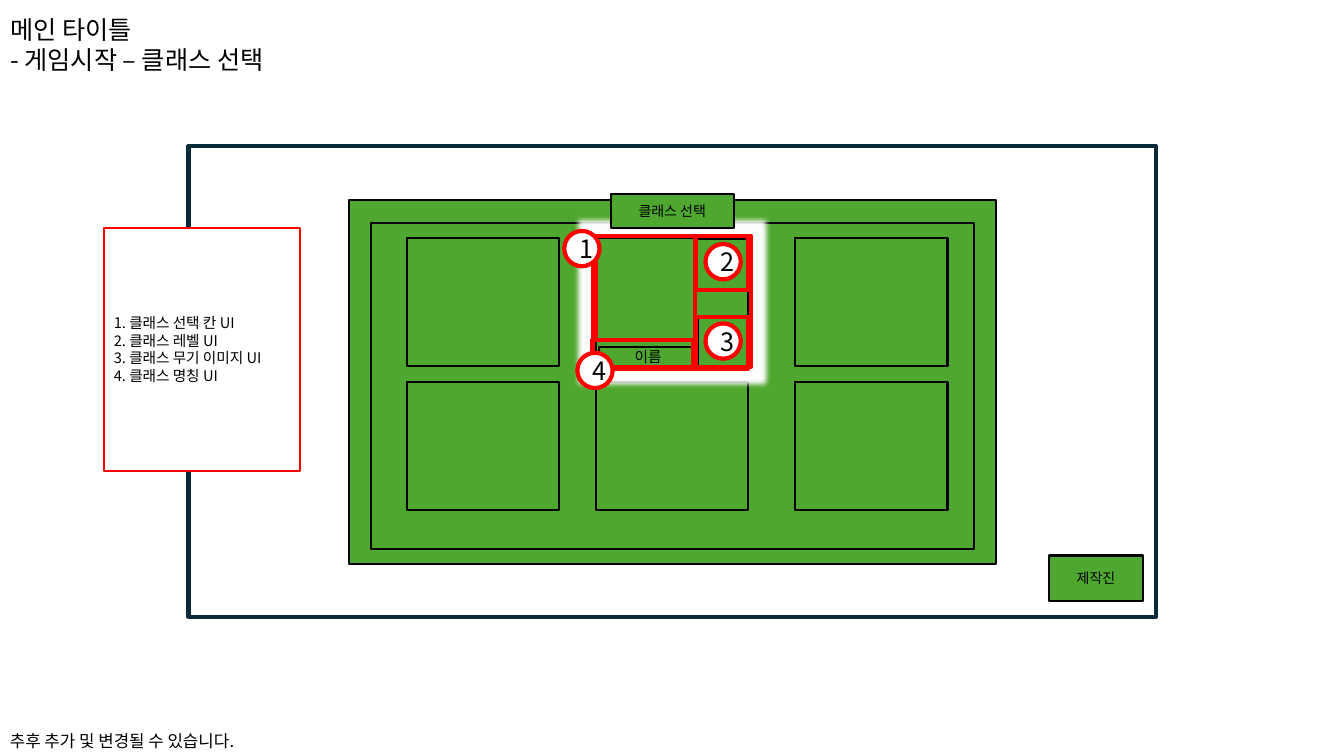
"""Builds the class selection screen slide of a game UI plan."""
from lxml import etree
from pptx import Presentation
from pptx.dml.color import RGBColor
from pptx.enum.shapes import MSO_SHAPE
from pptx.enum.text import MSO_ANCHOR, MSO_AUTO_SIZE, PP_ALIGN
from pptx.oxml.ns import qn
from pptx.util import Cm, Pt

RECT, OVAL = MSO_SHAPE.RECTANGLE, MSO_SHAPE.OVAL
MIDDLE, NO_FIT = MSO_ANCHOR.MIDDLE, MSO_AUTO_SIZE.NONE
LEFT, CENTER = PP_ALIGN.LEFT, PP_ALIGN.CENTER
TITLE_ONLY = 5
BLACK = RGBColor(0x00, 0x00, 0x00)
WHITE = RGBColor(0xFF, 0xFF, 0xFF)
GREEN = RGBColor(0x4E, 0xA7, 0x2E)
RED = RGBColor(0xFF, 0x00, 0x00)
NAVY = RGBColor(0x09, 0x2A, 0x39)


class ScreenPlan:
    """Holds the style and the current slide."""

    font_name = "Noto Sans CJK KR"
    line_ratio = 1.2

    def __init__(self, slide):
        self.slide = slide

    def label(self, shape, text, size, align=LEFT):
        """Put formatted text into a shape."""
        frame = shape.text_frame
        frame_format = {"word_wrap": True, "auto_size": NO_FIT, "vertical_anchor": MIDDLE}
        for key, value in frame_format.items():
            setattr(frame, key, value)
        paragraph = frame.paragraphs[0]
        paragraph.text = text
        spacing = {"alignment": align, "line_spacing": Pt(size * self.line_ratio),
                   "space_before": Pt(0), "space_after": Pt(0)}
        for key, value in spacing.items():
            setattr(paragraph, key, value)
        for run in paragraph.runs:
            for key, value in {"name": self.font_name, "size": Pt(size), "bold": False}.items():
                setattr(run.font, key, value)
            run.font.color.rgb = BLACK
            east_asian = etree.SubElement(run.font._element, qn("a:ea"))
            east_asian.set("typeface", self.font_name)

    def title(self, box, text, size):
        """Place and fill the title placeholder."""
        heading = self.slide.shapes.title
        for key, value in zip(("left", "top", "width", "height"), box):
            setattr(heading, key, Cm(value))
        self.label(heading, text, size)

    def note(self, box, text, size):
        """Add a plain text box."""
        self.label(self.slide.shapes.add_textbox(*map(Cm, box)), text, size)

    def panel(self, box, fill=None, line=BLACK, weight=1.5, text="", size=10,
              align=CENTER, kind=RECT):
        """Add an outlined shape with optional fill and text."""
        shape = self.slide.shapes.add_shape(kind, *map(Cm, box))
        shape.shadow.inherit = False
        if fill is None:
            shape.fill.background()
        else:
            shape.fill.solid()
            shape.fill.fore_color.rgb = fill
        shape.line.color.rgb = line
        shape.line.width = Pt(weight)
        if text:
            self.label(shape, text, size, align)
        return shape

    def glow(self, shape, radius):
        """Surround a shape with a white glow."""
        effects = shape._element.spPr.find(qn("a:effectLst"))
        halo = etree.SubElement(effects, qn("a:glow"), rad=str(Pt(radius)))
        etree.SubElement(halo, qn("a:srgbClr"), val=str(WHITE))

    def marker(self, left, top, number):
        """Add a numbered red circle."""
        self.panel((left, top, 0.89, 0.89), WHITE, RED, 3, str(number), 18, kind=OVAL)


def main():
    """Build and save the slide."""
    deck = Presentation()
    deck.slide_width, deck.slide_height = Cm(33.87), Cm(19.05)
    plan = ScreenPlan(deck.slides.add_slide(deck.slide_layouts[TITLE_ONLY]))

    plan.title((0, 0, 9.12, 2.24), "메인 타이틀\v- 게임시작 – 클래스 선택", 18)
    plan.note((0, 18.36, 10.8, 0.61), "추후 추가 및 변경될 수 있습니다.", 12)

    plan.panel((4.75, 3.68, 24.38, 11.86), WHITE, NAVY, 3)
    plan.panel((8.79, 5.03, 16.31, 9.19), GREEN)
    plan.panel((26.44, 14, 2.36, 1.14), GREEN, text="제작진")
    plan.panel((9.35, 5.61, 15.19, 8.23), GREEN)

    class_columns = (10.26, 15.01, 20.04)
    class_rows = (9.63, 5.99)
    class_cells = [plan.panel((left, top, 3.84, 3.23), GREEN)
                   for top in class_rows for left in class_columns]
    selected_cell = class_cells[4]
    plan.glow(selected_cell, 8)

    plan.panel((15.39, 4.88, 3.1, 0.86), GREEN, text="클래스 선택")

    portrait = (14.94, 5.99, 2.59, 2.57)
    level = (17.55, 6.02, 1.27, 1.27)
    weapon = (17.58, 8, 1.27, 1.27)
    for part in (portrait, level, weapon):
        plan.panel(part)
    plan.panel((15.09, 8.74, 2.49, 0.51), text="이름", size=10.5)

    legend = ("클래스 선택 칸 UI", "클래스 레벨 UI", "클래스 무기 이미지 UI", "클래스 명칭 UI")
    legend_text = "\v".join(f"{number}. {entry}" for number, entry in enumerate(legend, 1))
    plan.panel((2.62, 5.74, 4.95, 6.12), WHITE, RED, text=legend_text, size=10.5, align=LEFT)

    highlights = (
        (14.94, 5.94, 3.99, 3.3),
        (15.01, 5.94, 2.51, 2.62),
        (17.53, 5.94, 1.32, 1.37),
        (17.53, 7.98, 1.32, 1.32),
        (14.91, 8.56, 2.57, 0.74),
    )
    for highlight in highlights:
        plan.panel(highlight, line=RED, weight=3)

    marker_spots = ((14.22, 5.82), (17.78, 6.15), (17.78, 8.15), (14.55, 8.89))
    for number, (left, top) in enumerate(marker_spots, 1):
        plan.marker(left, top, number)

    deck.save("out.pptx")


if __name__ == "__main__":
    main()
